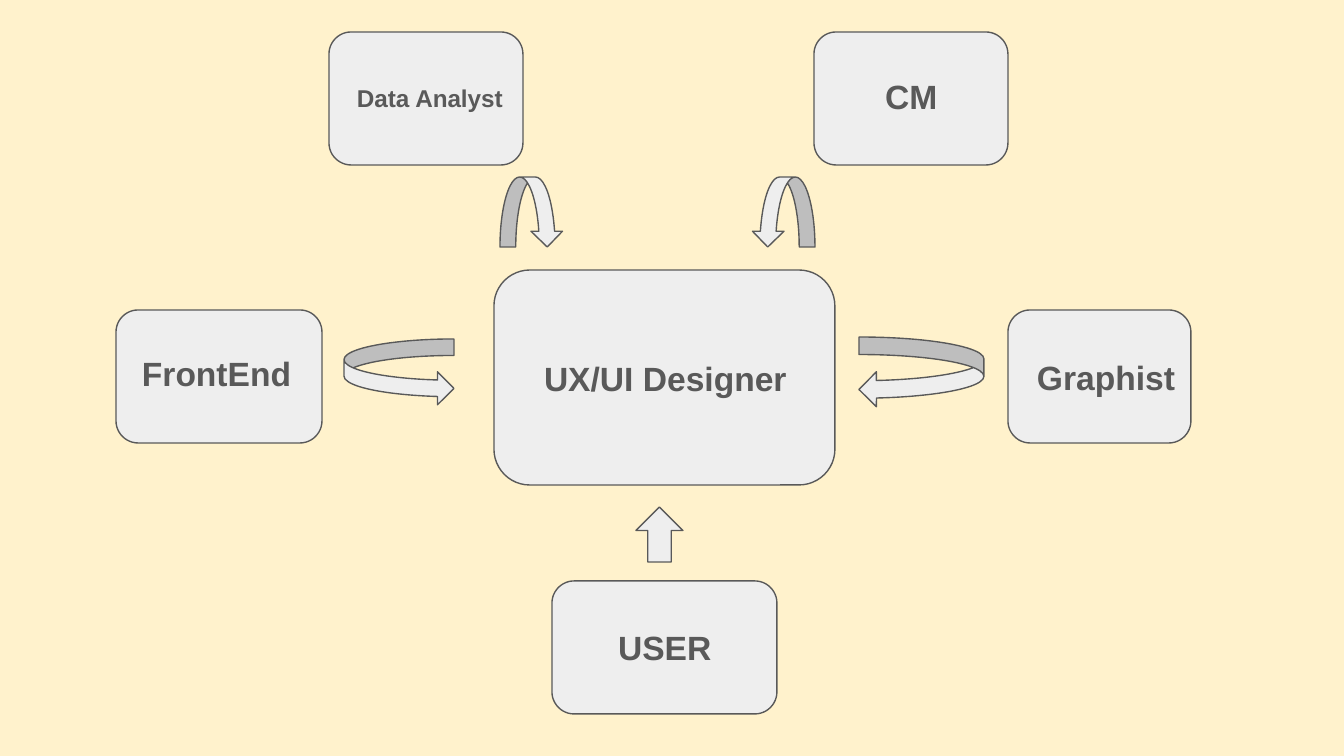
from dataclasses import dataclass

from pptx import Presentation
from pptx.dml.color import RGBColor
from pptx.enum.shapes import MSO_SHAPE
from pptx.util import Emu, Pt

PX = 914400 / 134.4
CARD_H = 133


@dataclass(frozen=True)
class Theme:
    background: RGBColor = RGBColor(0xFF, 0xF2, 0xCC)
    fill: RGBColor = RGBColor(0xEE, 0xEE, 0xEE)
    ink: RGBColor = RGBColor(0x59, 0x59, 0x59)
    font: str = "Arial"
    label: int = 18
    small_label: int = 13
    line: float = 0.75


THEME = Theme()


def px(*values):
    """Turn pixel lengths into EMU."""
    return [Emu(round(v * PX)) for v in values]


def add_outlined(s, kind, box, flip=False):
    sp = s.shapes.add_shape(kind, *px(*box))
    sp.shadow.inherit = False
    sp.fill.solid()
    sp.fill.fore_color.rgb = THEME.fill
    sp.line.color.rgb = THEME.ink
    sp.line.width = Pt(THEME.line)
    if flip:
        sp._element.spPr.xfrm.set("flipH", "1")


def add_label(s, text, box, size):
    tf = s.shapes.add_textbox(*px(*box)).text_frame
    tf.word_wrap = True
    tf.margin_left = tf.margin_right = tf.margin_top = tf.margin_bottom = px(13)[0]
    tf.text = text
    font = tf.paragraphs[0].runs[0].font
    font.name = THEME.font
    font.size = Pt(size)
    font.bold = True
    font.color.rgb = THEME.ink


def add_role(s, text, card, label, size=THEME.label):
    """Add a rounded card and its separately placed label."""
    add_outlined(s, MSO_SHAPE.FLOWCHART_ALTERNATE_PROCESS, card)
    add_label(s, text, label, size)


def main():
    prs = Presentation()
    prs.slide_width, prs.slide_height = px(1344, 756)
    s = prs.slides.add_slide(prs.slide_layouts[6])
    s.background.fill.solid()
    s.background.fill.fore_color.rgb = THEME.background

    add_role(s, "USER", (552, 581, 225, CARD_H), (605, 614, 163, 66))
    add_role(s, "UX/UI Designer", (494, 270, 341, 215), (531, 345, 284, 66))
    add_role(s, "FrontEnd", (116, 310, 206, CARD_H), (129, 340, 194, 70))
    add_role(s, "Graphist", (1008, 310, 183, CARD_H), (1024, 344, 183, 70))
    add_role(s, "Data Analyst", (329, 32, 194, CARD_H), (344, 70, 183, 70),
             THEME.small_label)
    add_role(s, "CM", (814, 32, 194, CARD_H), (872, 63, 163, 85))

    add_outlined(s, MSO_SHAPE.UP_ARROW, (636, 507, 47, 55))
    add_outlined(s, MSO_SHAPE.CURVED_RIGHT_ARROW, (344, 339, 110, 66))
    add_outlined(s, MSO_SHAPE.CURVED_LEFT_ARROW, (859, 337, 125, 70))
    add_outlined(s, MSO_SHAPE.CURVED_DOWN_ARROW, (500, 177, 63, 70))
    add_outlined(s, MSO_SHAPE.CURVED_DOWN_ARROW, (752, 177, 63, 70), flip=True)

    prs.save("out.pptx")


if __name__ == "__main__":
    main()
